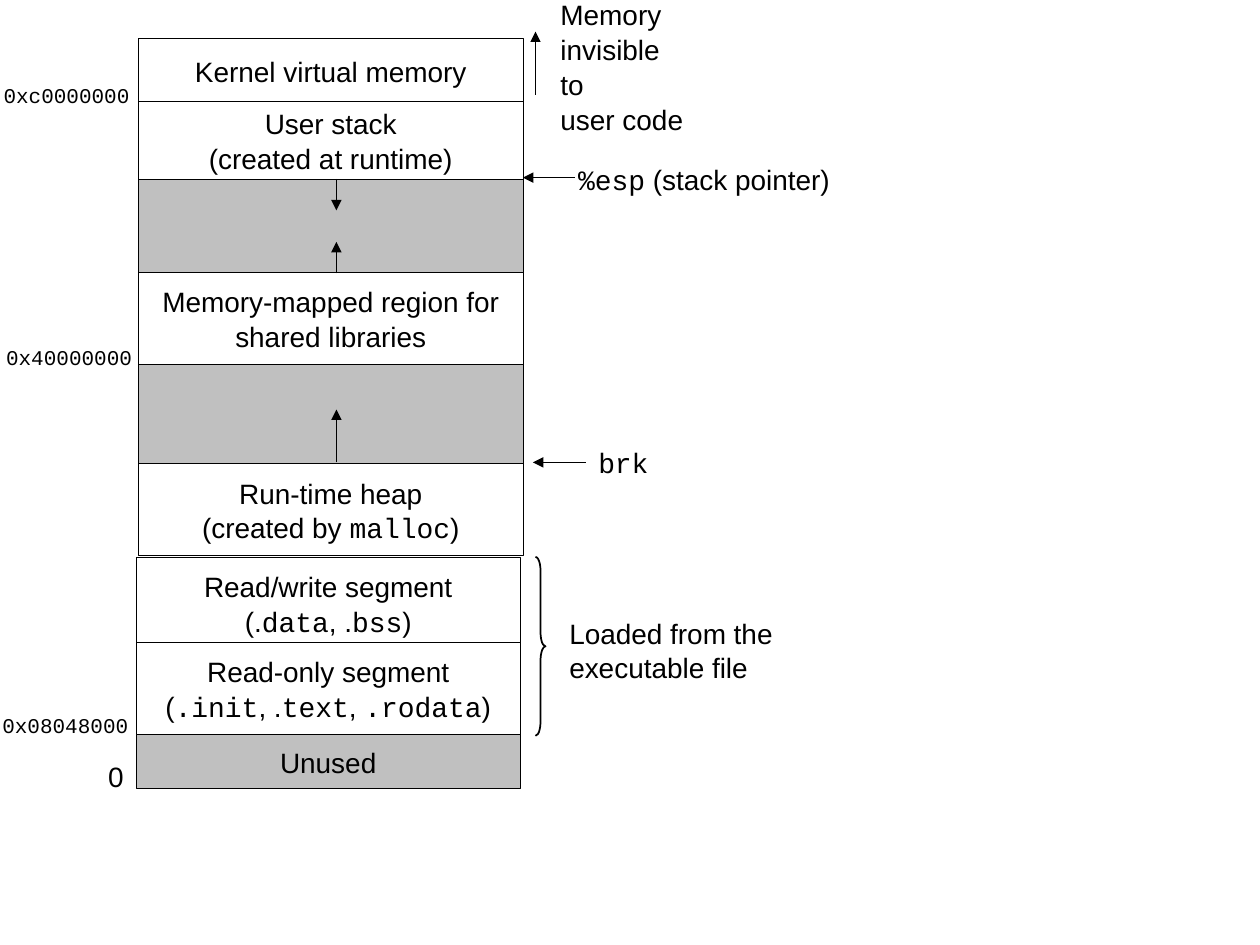
from dataclasses import dataclass
from lxml import etree
from pptx import Presentation
from pptx.dml.color import RGBColor
from pptx.enum.shapes import MSO_CONNECTOR, MSO_SHAPE
from pptx.enum.text import MSO_ANCHOR, MSO_AUTO_SIZE, PP_ALIGN
from pptx.oxml.ns import qn
from pptx.util import Inches, Pt


@dataclass(frozen=True)
class Theme:
    """Colours, fonts and sizes of the slide."""
    ink: RGBColor = RGBColor(0x00, 0x00, 0x00)
    used: RGBColor = RGBColor(0xFF, 0xFF, 0xFF)
    free: RGBColor = RGBColor(0xC0, 0xC0, 0xC0)
    sans: str = "Arial"
    mono: str = "Courier New"
    label: int = 16
    address: int = 12
    hairline: float = 0.26
    brace: float = 0.99
    spacing: float = 1.04


T = Theme()
STACK_W = 3.05

# top, height, shift from the left edge, fill, lines; backticks enclose code
REGIONS = [
    (0, 0.53, 0.02, T.used, ["Kernel virtual memory"]),
    (1.86, 0.73, 0.02, T.used, ["Memory-mapped region for", "shared libraries"]),
    (2.59, 0.79, 0.02, T.free, []),
    (3.38, 0.73, 0.02, T.used, ["Run-time heap", "(created by `malloc`)"]),
    (0.87, 0.99, 0.02, T.free, []),
    (0.5, 0.62, 0.02, T.used, ["User stack", "(created at runtime)"]),
    (5.53, 0.43, 0, T.free, ["Unused"]),
    (4.12, 0.73, 0, T.used, ["Read/write segment", "(.`data`, .`bss`)"]),
    (4.8, 0.73, 0, T.used,
     ["Read-only segment", "(`.init`, .`text`, `.rodata`)"]),
]
# start and end of the growth arrows, down from the top of the stack
GROWTH = [(3.37, 2.95), (1.87, 1.62), (1.12, 1.37)]

# left, top, width, height, size, lines
ADDRESSES = [
    (0.01, 0.68, 1.2, 0.3, T.address, ["`0xc0000000`"]),
    (0.03, 2.76, 1.2, 0.3, T.address, ["`0x40000000`"]),
    (0, 5.68, 1.2, 0.3, T.address, ["`0x08048000`"]),
    (0.84, 6.05, 0.32, 0.37, T.label, ["0"]),
]
NOTES = [
    (0.2, 0, 1.23, 0.9, T.label, ["Memory", "invisible to", "user code"]),
    (0.34, 1.31, 2.2, 0.37, T.label, ["`%esp` (stack pointer)"]),
    (0.5, 3.56, 0.6, 0.37, T.label, ["`brk`"]),
    (0.27, 4.91, 1.87, 0.64, T.label, ["Loaded from the ", "executable file"]),
]
# x1, y1, x2, y2
POINTERS = [
    (0.1, 0.83, 0.1, 0.33),
    (0.41, 1.49, 0, 1.49),
    (0.5, 3.75, 0.08, 3.75),
]


def write_lines(tf, lines, size, align):
    """Write paragraphs, setting the parts between backticks in monospace."""
    tf.word_wrap = False
    for i, line in enumerate(lines):
        p = tf.paragraphs[0] if i == 0 else tf.add_paragraph()
        p.alignment = align
        p.line_spacing = T.spacing
        for j, part in enumerate(line.split("`")):
            if part:
                r = p.add_run()
                r.text = part
                r.font.name = T.mono if j % 2 else T.sans
                r.font.size = Pt(size)
                r.font.color.rgb = T.ink


def add_region(s, left, top, width, height, fill, lines):
    """Add one outlined block of memory."""
    sp = s.shapes.add_shape(MSO_SHAPE.RECTANGLE, Inches(left), Inches(top),
                            Inches(width), Inches(height))
    sp.shadow.inherit = False
    sp.fill.solid()
    sp.fill.fore_color.rgb = fill
    sp.line.color.rgb = T.ink
    sp.line.width = Pt(T.hairline)
    sp.text_frame.vertical_anchor = MSO_ANCHOR.MIDDLE
    write_lines(sp.text_frame, lines, T.label, PP_ALIGN.CENTER)


def add_arrow(s, x1, y1, x2, y2):
    """Add a thin arrow whose head is at the second point."""
    c = s.shapes.add_connector(MSO_CONNECTOR.STRAIGHT, Inches(x1), Inches(y1),
                               Inches(x2), Inches(y2))
    c.line.color.rgb = T.ink
    c.line.width = Pt(T.hairline)
    ln = c.line._get_or_add_ln()
    etree.SubElement(ln, qn("a:tailEnd"), type="triangle")
    etree.SubElement(c._element.spPr, qn("a:effectLst"))


def add_labels(s, left, top, labels):
    """Add text boxes placed from the given corner."""
    for dx, dy, width, height, size, lines in labels:
        sp = s.shapes.add_textbox(Inches(left + dx), Inches(top + dy),
                                  Inches(width), Inches(height))
        write_lines(sp.text_frame, lines, size, PP_ALIGN.LEFT)
        sp.text_frame.auto_size = MSO_AUTO_SIZE.SHAPE_TO_FIT_TEXT


def add_memory_stack(s, left, top):
    """Draw the memory blocks and the arrows for growing areas."""
    for dy, height, dx, fill, lines in REGIONS:
        add_region(s, left + dx, top + dy, STACK_W, height, fill, lines)
    for start, end in GROWTH:
        add_arrow(s, left + 1.59, top + start, left + 1.59, top + end)


def add_side_notes(s, left, top):
    """Draw the notes, pointers and brace on the right of the stack."""
    add_labels(s, left, top, NOTES)
    for x1, y1, x2, y2 in POINTERS:
        add_arrow(s, left + x1, top + y1, left + x2, top + y2)
    brace = s.shapes.add_shape(MSO_SHAPE.RIGHT_BRACE, Inches(left + 0.1),
                               Inches(top + 4.5), Inches(0.08), Inches(1.42))
    brace.adjustments[0] = 1.38
    brace.shadow.inherit = False
    brace.fill.background()
    brace.line.color.rgb = T.ink
    brace.line.width = Pt(T.brace)


def main():
    """Build and save the slide."""
    prs = Presentation()
    prs.slide_width, prs.slide_height = Inches(10), Inches(7.5)
    s = prs.slides.add_slide(prs.slide_layouts[6])
    add_memory_stack(s, 1.08, 0.3)
    add_labels(s, -0.08, -0.08, ADDRESSES)
    add_side_notes(s, 4.15, -0.08)
    prs.save("out.pptx")


main()
